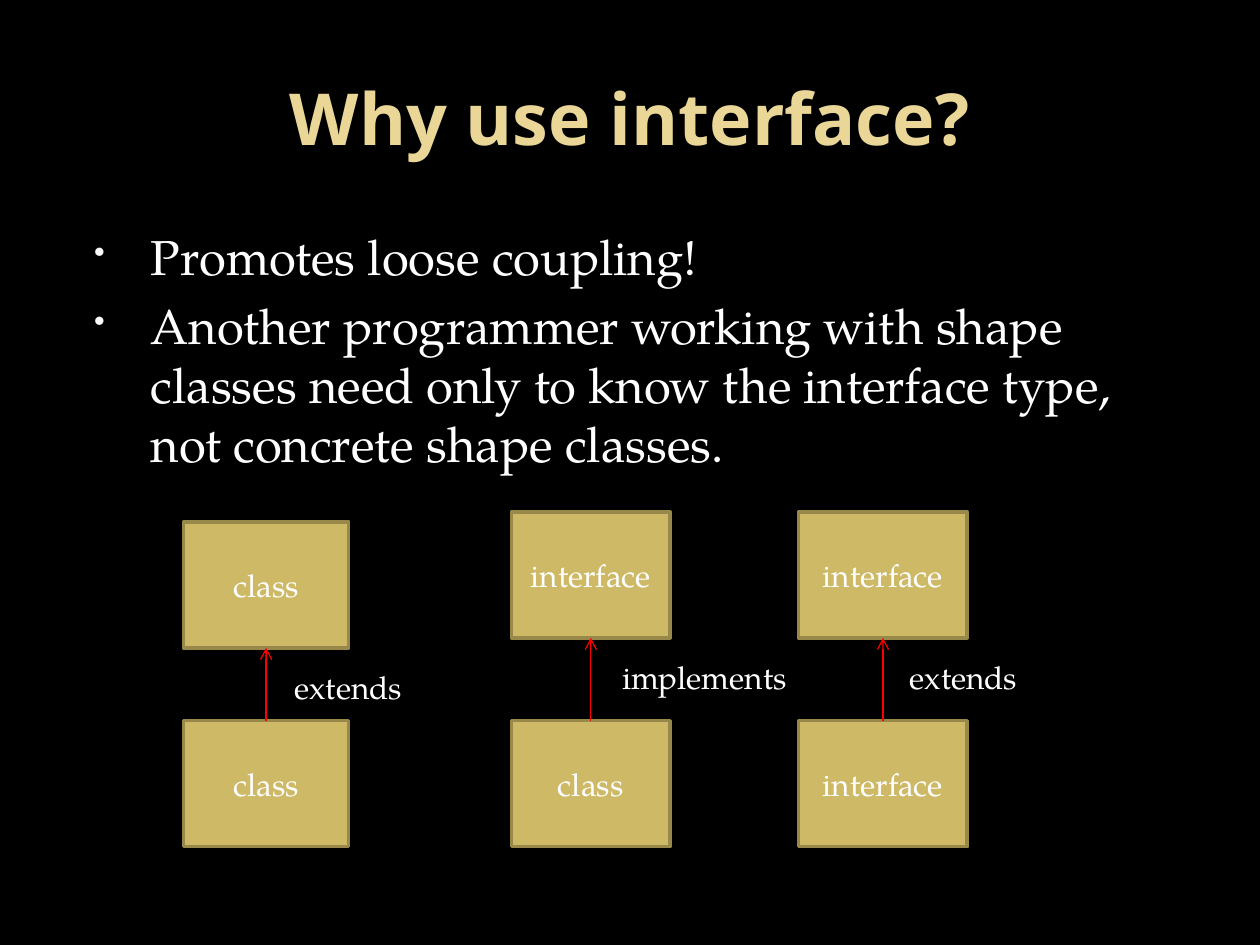
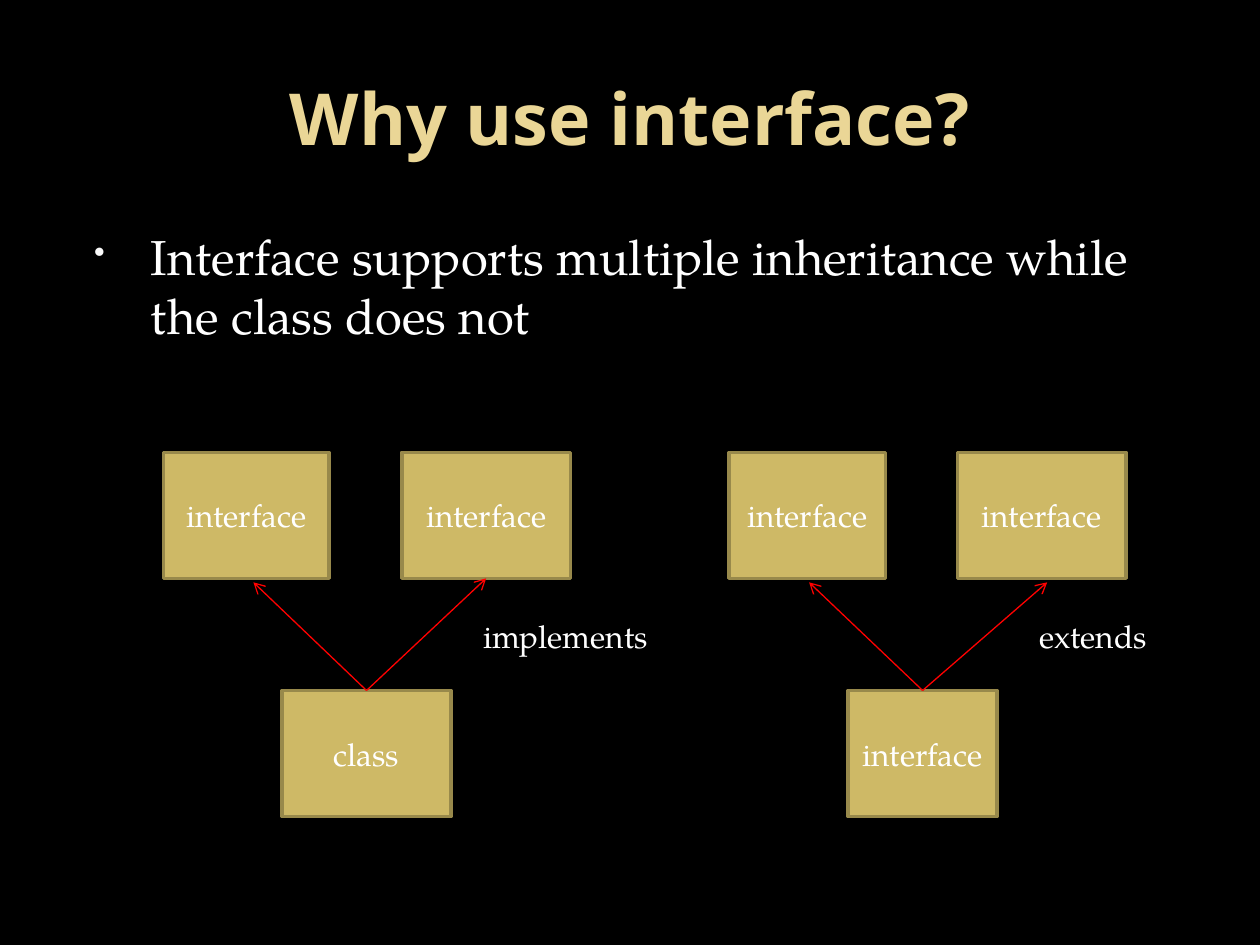
from lxml import etree
from pptx import Presentation
from pptx.dml.color import RGBColor
from pptx.enum.shapes import MSO_CONNECTOR, MSO_SHAPE
from pptx.enum.text import MSO_ANCHOR, PP_ALIGN
from pptx.oxml.ns import qn
from pptx.util import Cm, Pt

STRAIGHT = MSO_CONNECTOR.STRAIGHT
RECTANGLE = MSO_SHAPE.RECTANGLE
MIDDLE = MSO_ANCHOR.MIDDLE
LEFT = PP_ALIGN.LEFT
CENTER = PP_ALIGN.CENTER

BLACK = RGBColor(0x00, 0x00, 0x00)
WHITE = RGBColor(0xFF, 0xFF, 0xFF)
CREAM = RGBColor(0xEA, 0xD6, 0x96)
GOLD = RGBColor(0xCE, 0xB9, 0x66)
BRONZE = RGBColor(0x98, 0x89, 0x4B)
RED = RGBColor(0xFF, 0x00, 0x00)
BULLET_COLOR = RGBColor(0xF9, 0xF9, 0xF9)

TITLE_FONT = "Noto Sans"
BODY_FONT = "TeX Gyre Pagella"
TOP, BOTTOM = 0, 2
BOX_HEIGHT = 2.54
MARGIN = 1.27
CONTENT_WIDTH = 22.86


def write(para, text, size, color=WHITE, font=BODY_FONT, bold=False, align=LEFT):
    para.alignment = align
    span = para.add_run()
    span.text = text
    span.font.name = font
    span.font.size = Pt(size)
    span.font.bold = bold
    span.font.color.rgb = color


def add_text_frame(page, left, top, width, height):
    box = page.shapes.add_textbox(Cm(left), Cm(top), Cm(width), Cm(height))
    box.text_frame.word_wrap = True
    return box.text_frame


def add_title(page, text):
    frame = add_text_frame(page, MARGIN, 0.76, CONTENT_WIDTH, 3.18)
    frame.vertical_anchor = MIDDLE
    write(frame.paragraphs[0], text, 41, CREAM, TITLE_FONT, True, CENTER)


def add_bullet(para):
    properties = para._p.get_or_add_pPr()
    properties.set("marL", str(Cm(1.52)))
    properties.set("indent", str(Cm(-1.14)))
    color = etree.SubElement(properties, qn("a:buClr"))
    etree.SubElement(color, qn("a:srgbClr"), val=str(BULLET_COLOR))
    etree.SubElement(properties, qn("a:buSzPct"), val="65000")
    etree.SubElement(properties, qn("a:buChar"), char="•")


def add_body(page, points):
    frame = add_text_frame(page, MARGIN, 4.45, CONTENT_WIDTH, 13.08)
    for index, point in enumerate(points):
        para = frame.add_paragraph() if index else frame.paragraphs[0]
        para.space_before = Pt(5.6)
        add_bullet(para)
        write(para, point, 28)


def add_type_box(page, text, left, top, width):
    box = page.shapes.add_shape(RECTANGLE, Cm(left), Cm(top), Cm(width), Cm(BOX_HEIGHT))
    box.shadow.inherit = False
    box.fill.solid()
    box.fill.fore_color.rgb = GOLD
    box.line.color.rgb = BRONZE
    box.line.width = Pt(2)
    box.text_frame.vertical_anchor = MIDDLE
    write(box.text_frame.paragraphs[0], text, 18, align=CENTER)
    return box


def add_arrow(page, child, parent=None, tip=(0, 0)):
    arrow = page.shapes.add_connector(STRAIGHT, 0, 0, Cm(tip[0]), Cm(tip[1]))
    arrow.begin_connect(child, TOP)
    if parent is not None:
        arrow.end_connect(parent, BOTTOM)
    arrow.line.color.rgb = RED
    arrow.line.width = Pt(0.75)
    etree.SubElement(arrow.line._get_or_add_ln(), qn("a:tailEnd"), type="arrow")
    etree.SubElement(arrow._element.spPr, qn("a:effectLst"))


def add_label(page, text, left, top):
    frame = add_text_frame(page, left, top, 4, 1.02)
    write(frame.paragraphs[0], text, 18)


def add_single_inheritance(page, left, top, width, parent_type, child_type, relation):
    parent = add_type_box(page, parent_type, left, top, width)
    child = add_type_box(page, child_type, left, 14.53, width)
    add_arrow(page, child, parent)
    add_label(page, relation, left + 1.99, top + 2.82)


def add_multiple_inheritance(page, left, top, parents, child_box, child_type,
                             relation, label_offset):
    child_offset, child_width = child_box
    child = add_type_box(page, child_type, left + child_offset, top + 4.8, child_width)
    for offset, width, tip_offset in parents:
        parent = add_type_box(page, "interface", left + offset, top, width)
        if tip_offset is None:
            add_arrow(page, child, parent)
        else:
            add_arrow(page, child, tip=(left + tip_offset, top + 2.62))
    add_label(page, relation, left + label_offset, top + 3.2)


def add_page(deck, points):
    page = deck.slides.add_slide(deck.slide_layouts[6])
    page.background.fill.solid()
    page.background.fill.fore_color.rgb = BLACK
    add_title(page, "Why use interface?")
    add_body(page, points)
    return page


def build_coupling_page(deck):
    page = add_page(deck, [
        "Promotes loose coupling!",
        "Another programmer working with shape classes need only to know "
        "the interface type, not concrete shape classes.",
    ])
    add_single_inheritance(page, 3.7, 10.52, 3.33, "class", "class", "extends")
    add_single_inheritance(page, 10.31, 10.32, 3.2, "interface", "class", "implements")
    add_single_inheritance(page, 16.1, 10.32, 3.4, "interface", "interface", "extends")


def build_inheritance_page(deck):
    page = add_page(deck, [
        "Interface supports multiple inheritance while the class does not",
    ])
    add_multiple_inheritance(page, 3.3, 9.12, [(0, 3.33, 1.81), (4.8, 3.4, None)],
                             (2.39, 3.4), "class", "implements", 6.2)
    add_multiple_inheritance(page, 14.7, 9.12, [(0, 3.15, 1.61), (4.6, 3.4, 6.41)],
                             (2.4, 3), "interface", "extends", 6)


def main():
    deck = Presentation()
    deck.slide_width = Cm(25.4)
    deck.slide_height = Cm(19.05)
    build_coupling_page(deck)
    build_inheritance_page(deck)
    deck.save("out.pptx")


if __name__ == "__main__":
    main()
